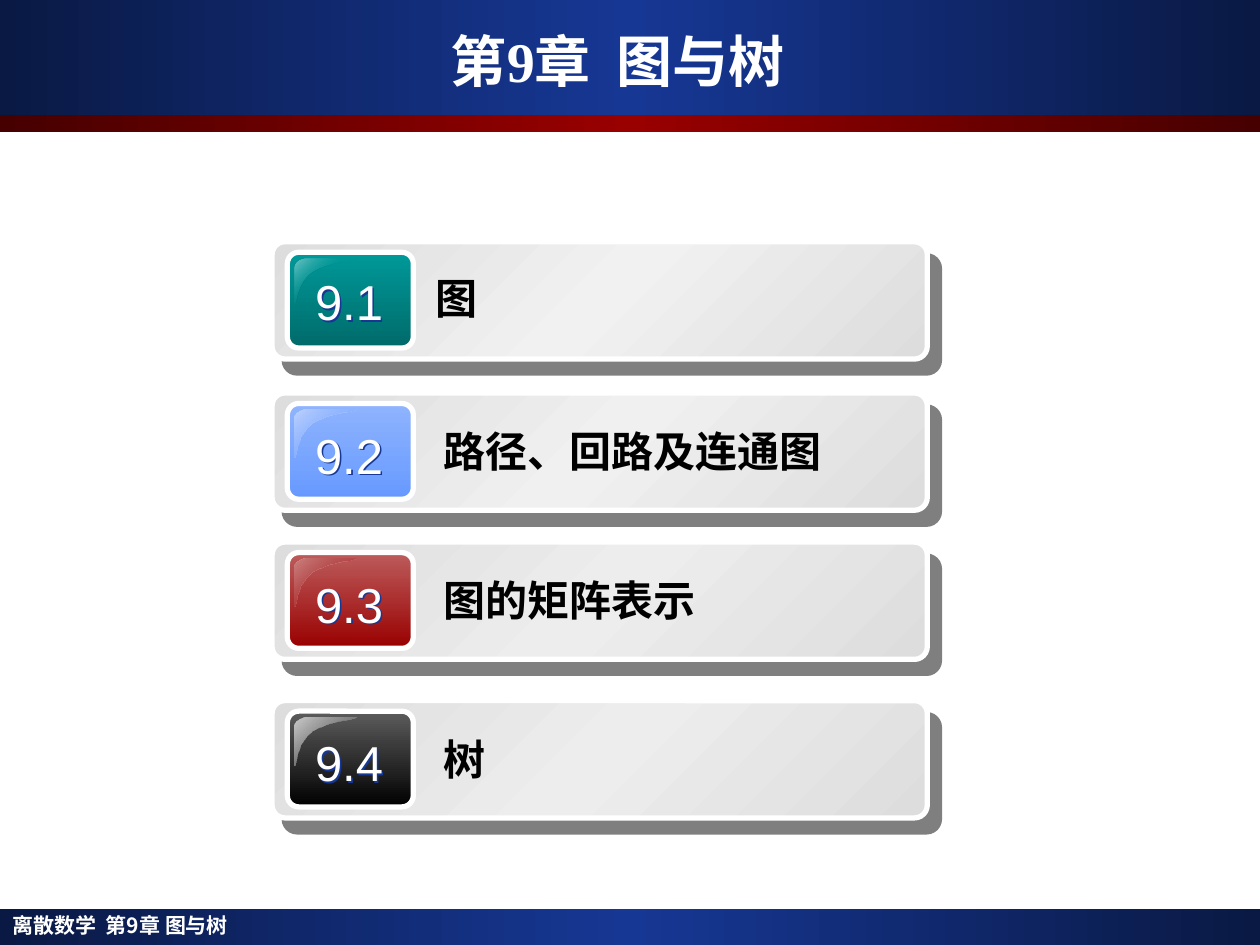
from lxml import etree
from pptx import Presentation
from pptx.dml.color import RGBColor
from pptx.enum.shapes import MSO_SHAPE
from pptx.enum.text import MSO_ANCHOR, PP_ALIGN
from pptx.oxml.ns import qn
from pptx.util import Pt

RECT, ROUND = MSO_SHAPE.RECTANGLE, MSO_SHAPE.ROUNDED_RECTANGLE
LEFT, CENTER = PP_ALIGN.LEFT, PP_ALIGN.CENTER
TOP, MIDDLE = MSO_ANCHOR.TOP, MSO_ANCHOR.MIDDLE

COLORS = {
    "white": "FFFFFF", "black": "000000",
    "navy": "0A1944", "blue": "163794",
    "maroon": "460000", "red": "990000", "silver": "DDDDDD",
}
HAN = "Noto Sans CJK SC"

# Per row: top, number, label, label font, card middle, badge stops, gloss stops
ROWS = [
    (138.2, "9.1", "图", "Arial", "F1F1F1", ("009999", "006A6A"),
     [(0, "73C6C6"), (50, "009999", 0), (100, "73C6C6")]),
    (224.6, "9.2", "路径、回路及连通图", HAN, "F0F0F0", ("8FB4FE", "6699FF"),
     [(0, "6699FF", 0), (100, "BDD2FE")]),
    (309.8, "9.3", "图的矩阵表示", "Arial", "EDEDED", ("BD5C5C", "990000"),
     [(0, "990000", 0), (100, "CC8282")]),
    (400.4, "9.4", "树", "Arial", "EDEDED", ("5C5C5C", "000000"),
     [(0, "969696", 0), (100, "CBCBCB")]),
]


def tint(parent, color, alpha=100):
    node = etree.SubElement(parent, qn("a:srgbClr"), val=color)
    if alpha < 100:
        etree.SubElement(node, qn("a:alpha"), val=str(alpha * 1000))


def blend(shape, stops, angle):
    """Fill a shape with a linear gradient of (place, colour, alpha) stops."""
    grad = etree.Element(qn("a:gradFill"), rotWithShape="1")
    group = etree.SubElement(grad, qn("a:gsLst"))
    for place, *color in stops:
        stop = etree.SubElement(group, qn("a:gs"), pos=str(place * 1000))
        tint(stop, *color)
    etree.SubElement(grad, qn("a:lin"), ang=str(angle * 60000), scaled="0")
    shape._element.spPr.insert(2, grad)  # after position and outline


def mirror(edge, middle):
    return [(0, edge), (50, middle), (100, edge)]


def shade(shape, color, alpha, dist, angle):
    shape.shadow.inherit = False
    effects = shape._element.spPr.find(qn("a:effectLst"))
    outer = etree.SubElement(
        effects, qn("a:outerShdw"), dist=str(int(Pt(dist))),
        dir=str(angle * 60000), algn="ctr", rotWithShape="0")
    tint(outer, color, alpha)


def add_box(slide, kind, box, stops, angle, round_by=None):
    shape = slide.shapes.add_shape(kind, *map(Pt, box))
    shape.shadow.inherit = False
    if round_by is None:
        shape.line.fill.background()
    else:
        shape.adjustments[0] = round_by
        shape.line.color.rgb = RGBColor.from_string(COLORS["white"])
        shape.line.width = Pt(3)
    blend(shape, stops, angle)
    return shape


def add_text(slide, box, text, size, font, color="white", bold=True,
             align=LEFT, anchor=TOP, space=1.0, wrap=True):
    shape = slide.shapes.add_textbox(*map(Pt, box))
    frame = shape.text_frame
    frame.word_wrap = wrap
    frame.vertical_anchor = anchor
    para = frame.paragraphs[0]
    para.alignment = align
    para.line_spacing = space
    run = para.add_run()
    run.text = text
    run.font.size = Pt(size)
    run.font.bold = bold
    run.font.color.rgb = RGBColor.from_string(COLORS[color])
    run.font.name = font
    etree.SubElement(run.font._element, qn("a:ea"), typeface=HAN)
    return shape


def curve(start, *ends, steps=10):
    """Points on a cubic curve, without its start."""
    knots = (start, *ends)
    points = []
    for step in range(1, steps + 1):
        t = step / steps
        parts = ((1 - t) ** 3, 3 * t * (1 - t) ** 2, 3 * t * t * (1 - t), t ** 3)
        points.append(tuple(sum(w * k[axis] for w, k in zip(parts, knots))
                            for axis in (0, 1)))
    return points


def add_gloss(slide, left, top, stops):
    points = [
        (7.2, 0), *curve((7.2, 0), (3, 0), (0, 2.5), (0, 5.6)),
        (0, 27.2), *curve((0, 27.2), (1.4, 28), (0.7, 14.5), (10, 8)),
        *curve((10, 8), (18.7, 2.2), (36, 1.2), (35.5, 0)),
    ]
    spots = [(Pt(left + x), Pt(top + y)) for x, y in points]
    path = slide.shapes.build_freeform(*spots[0])
    path.add_line_segments(spots[1:], close=True)
    shape = path.convert_to_shape()
    shape.shadow.inherit = False
    shape.line.fill.background()
    blend(shape, stops, 225)


def add_row(slide, top, number, label, font, middle, badge, gloss):
    first = number == "9.1"
    # Card and badge
    card = add_box(slide, ROUND, (155.5, top, 374.4, 67),
                   mirror(COLORS["silver"], middle), 225, 0.109)
    shade(card, COLORS["black"], 50, 10.6, 49)
    add_box(slide, ROUND, (164.2, top + 6, 72, 54.7),
            [(0, badge[0]), (100, badge[1])], 90, 0.119)
    add_gloss(slide, 168.2, top + 9.6, gloss)
    # Number and label
    drop, space = (17.3, 0.9) if first else (14.8, 1.0)
    text = add_text(slide, (172.8, top + drop, 53.3, 41), number, 28, "Arial",
                    bold=False, align=CENTER, space=space, wrap=False)
    shade(text, COLORS["blue"], 100, 1.4, 45)
    left, drop, space = (241.9, 13.7, 1.0) if first else (246.2, 6.4, 1.3)
    add_text(slide, (left, top + drop, 275, 44.6), label, 24, font,
             "black", space=space)


def main():
    deck = Presentation()
    deck.slide_width, deck.slide_height = Pt(720), Pt(540)
    slide = deck.slides.add_slide(deck.slide_layouts[6])

    # Bands
    blue = mirror(COLORS["navy"], COLORS["blue"])
    red = mirror(COLORS["maroon"], COLORS["red"])
    for top, height, stops in ((519.6, 20.4, blue), (0, 65.7, blue),
                               (65.7, 9.6, red)):
        add_box(slide, RECT, (0, top, 720, height), stops, 180)

    # Footer and title
    add_text(slide, (0, 519.6, 297.4, 20.4), "离散数学  第9章 图与树", 12,
             "Noto Sans CJK JP", space=0.9)
    add_text(slide, (20, 12.2, 666, 44.6), "第9章  图与树", 32,
             "Times New Roman", align=CENTER, anchor=MIDDLE)

    # Sections
    for row in ROWS:
        add_row(slide, *row)

    deck.save("out.pptx")


if __name__ == "__main__":
    main()
